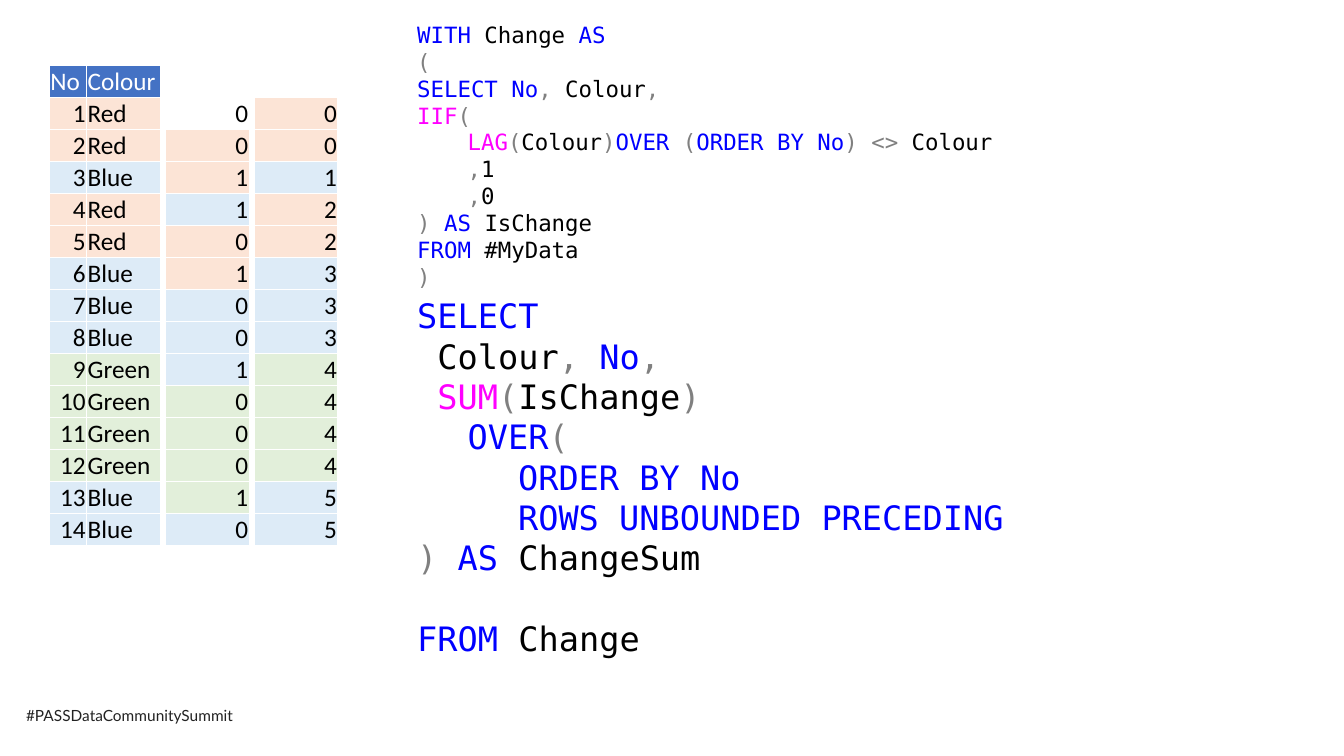
"""Slide that numbers runs of equal colours with SQL window functions."""
from itertools import accumulate

from lxml import etree
from pptx import Presentation
from pptx.dml.color import RGBColor
from pptx.enum.text import MSO_ANCHOR, MSO_AUTO_SIZE, PP_ALIGN
from pptx.oxml.ns import qn
from pptx.util import Inches, Pt

BOTTOM = MSO_ANCHOR.BOTTOM
GROW = MSO_AUTO_SIZE.SHAPE_TO_FIT_TEXT
LEFT, RIGHT = PP_ALIGN.LEFT, PP_ALIGN.RIGHT

WHITE = RGBColor(0xFF, 0xFF, 0xFF)
BLACK = RGBColor(0x00, 0x00, 0x00)
HEADER = RGBColor(0x44, 0x72, 0xC4)
FOOTER = RGBColor(0x22, 0x22, 0x22)
KEYWORD = RGBColor(0x00, 0x00, 0xFF)
FUNCTION = RGBColor(0xFF, 0x00, 0xFF)
SYMBOL = RGBColor(0x80, 0x80, 0x80)
TINTS = {
    "Red": RGBColor(0xFC, 0xE4, 0xD6),
    "Blue": RGBColor(0xDD, 0xEB, 0xF7),
    "Green": RGBColor(0xE2, 0xEF, 0xDA),
}

ROW = 4.76 / 15
TABLE_TOP = 0.65
CODE_LEFT, CODE_WIDTH = 4.04, 6.67

COLOURS = (["Red"] * 2 + ["Blue"] + ["Red"] * 2 + ["Blue"] * 3
           + ["Green"] * 4 + ["Blue"] * 2)

CHANGE_QUERY = [
    [("WITH", KEYWORD), (" Change ", BLACK), ("AS", KEYWORD)],
    [("(", SYMBOL)],
    [("SELECT No", KEYWORD), (",", SYMBOL), (" Colour", BLACK), (",", SYMBOL)],
    [("IIF", FUNCTION), ("(", SYMBOL)],
    [("LAG", FUNCTION), ("(", SYMBOL), ("Colour", BLACK), (")", SYMBOL),
     ("OVER ", KEYWORD), ("(", SYMBOL), ("ORDER BY No", KEYWORD),
     (") <> ", SYMBOL), ("Colour", BLACK)],
    [(",", SYMBOL), ("1", BLACK)],
    [(",", SYMBOL), ("0", BLACK)],
    [(") ", SYMBOL), ("AS ", KEYWORD), ("IsChange", BLACK)],
    [("FROM", KEYWORD), (" #MyData", BLACK)],
    [(")", SYMBOL)],
]
SUM_QUERY = [
    [("SELECT", KEYWORD)],
    [(" Colour", BLACK), (", ", SYMBOL), ("No", KEYWORD), (",", SYMBOL)],
    [(" ", BLACK), ("SUM", FUNCTION), ("(", SYMBOL), ("IsChange", BLACK), (")", SYMBOL)],
    [("\tOVER", KEYWORD), ("(", SYMBOL)],
    [("\t\tORDER BY No", KEYWORD)],
    [("\t\tROWS UNBOUNDED PRECEDING", KEYWORD)],
    [(") ", SYMBOL), ("AS ", KEYWORD), ("ChangeSum", BLACK)],
    [("FROM", KEYWORD), (" Change", BLACK)],
]


def style(para, name, size):
    """Set the font name and size of a paragraph."""
    para.font.name = name
    para.font.size = Pt(size)


def add_text(page, place, lines, name, size, wrap=True):
    """Add a text box of coloured spans and return its paragraphs."""
    box = page.shapes.add_textbox(*map(Inches, place))
    frame = box.text_frame
    frame.word_wrap = wrap
    frame.auto_size = GROW
    for index, line in enumerate(lines):
        para = frame.add_paragraph() if index else frame.paragraphs[0]
        style(para, name, size)
        for text, colour in line:
            span = para.add_run()
            span.text = text
            span.font.color.rgb = colour
    return frame.paragraphs


def add_borders(cell):
    """Give a cell thin white borders."""
    properties = cell._tc.get_or_add_tcPr()
    for side in ("a:lnL", "a:lnR", "a:lnT", "a:lnB"):
        line = etree.SubElement(properties, qn(side), w=str(Pt(0.5)))
        fill = etree.SubElement(line, qn("a:solidFill"))
        etree.SubElement(fill, qn("a:srgbClr"), val=str(WHITE))


def fill_cell(cell, text, fill, colour=BLACK):
    """Write one cell, with numbers to the right."""
    add_borders(cell)
    cell.fill.solid()
    cell.fill.fore_color.rgb = fill
    cell.margin_left = cell.margin_right = cell.margin_top = Inches(0.01)
    cell.margin_bottom = 0
    cell.vertical_anchor = BOTTOM
    cell.text = text
    para = cell.text_frame.paragraphs[0]
    para.alignment = RIGHT if text.isdigit() else LEFT
    style(para, "Calibri", 18)
    para.font.color.rgb = colour


def add_grid(page, left, top, widths, rows):
    """Add a table whose rows are lists of fill_cell arguments."""
    frame = page.shapes.add_table(len(rows), len(widths), Inches(left), Inches(top),
                                  Inches(sum(widths)), Inches(ROW * len(rows)))
    table = frame.table
    table.first_row = table.horz_banding = False
    for column, width in zip(table.columns, widths):
        column.width = Inches(width)
    for index, row in enumerate(rows):
        table.rows[index].height = Inches(ROW)
        for column, content in enumerate(row):
            fill_cell(table.cell(index, column), *content)


def main():
    """Build the slide and save it."""
    deck = Presentation()
    deck.slide_width, deck.slide_height = Inches(13.33), Inches(7.5)
    page = deck.slides.add_slide(deck.slide_layouts[6])

    tints = [TINTS[name] for name in COLOURS]
    changes = [0] + [int(a != b) for a, b in zip(COLOURS, COLOURS[1:])]
    data = [[(str(number), tint), (name, tint)]
            for number, (name, tint) in enumerate(zip(COLOURS, tints), 1)]
    header = [("No", HEADER, WHITE), ("Colour", HEADER, WHITE)]
    flags = [[(str(flag), tint)] for flag, tint in zip(changes, [WHITE] + tints)]
    sums = [[(str(total), tint)] for total, tint in zip(accumulate(changes), tints)]

    add_text(page, (0.16, 6.96, 2.34, 0.29),
             [[("#PASSDataCommunitySummit", FOOTER)]], "Lato", 11, wrap=False)
    add_grid(page, 0.49, TABLE_TOP, [0.37, 0.73], [header] + data)
    change_lines = add_text(page, (CODE_LEFT, 0.16, CODE_WIDTH, 2.79),
                            CHANGE_QUERY, "DejaVu Sans Mono", 16)
    for para in change_lines[4:7]:
        para.level = 1
        para._p.get_or_add_pPr().set("marL", str(Inches(0.5)))
    add_grid(page, 1.64, TABLE_TOP, [0.83], [[("", WHITE)]] + flags)
    sum_lines = add_text(page, (CODE_LEFT, 2.88, CODE_WIDTH, 3.74),
                         SUM_QUERY, "DejaVu Sans Mono", 24)
    sum_lines[-1].space_before = Pt(28.8)
    add_grid(page, 2.52, TABLE_TOP + ROW, [0.83], sums)

    deck.save("out.pptx")


if __name__ == "__main__":
    main()
